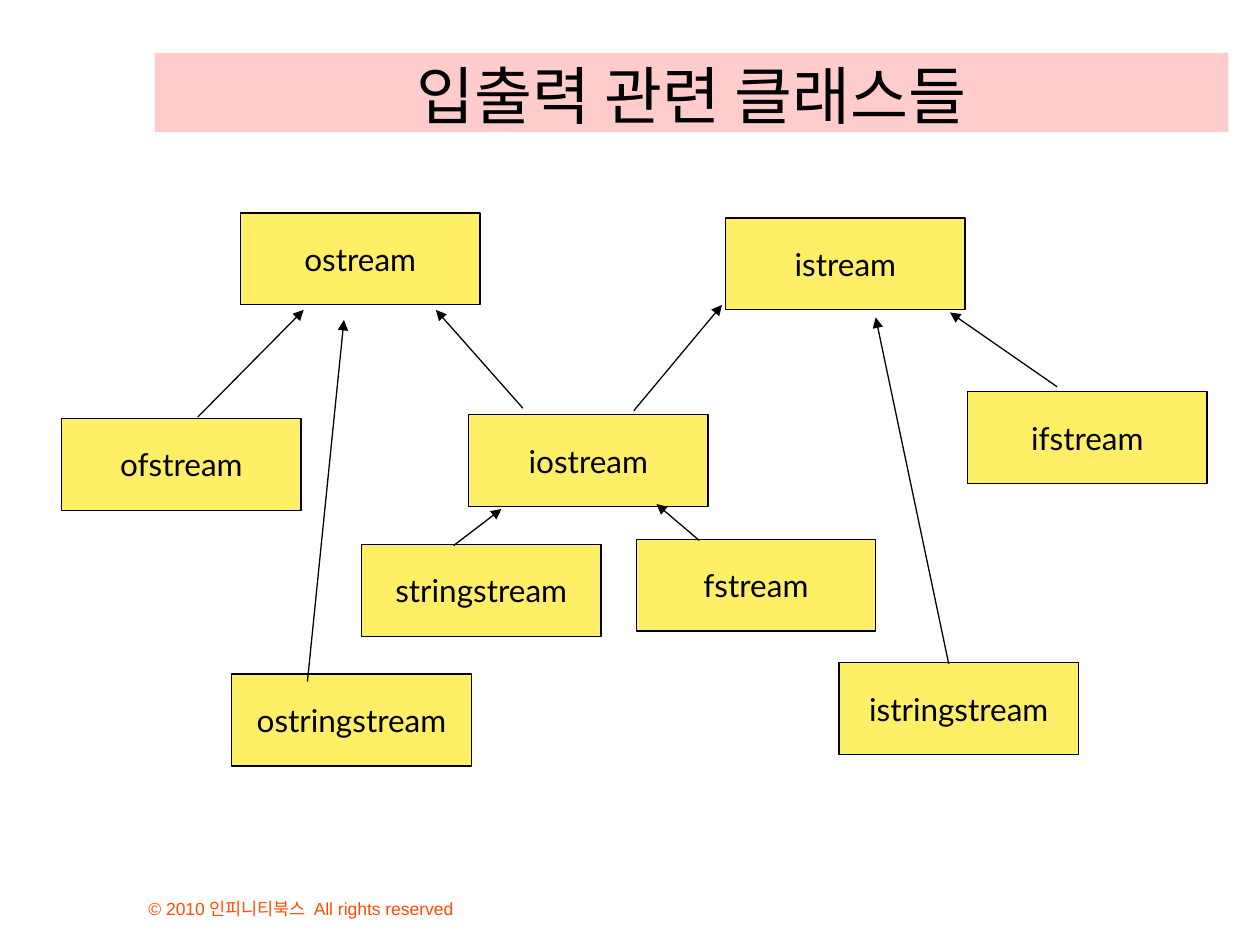
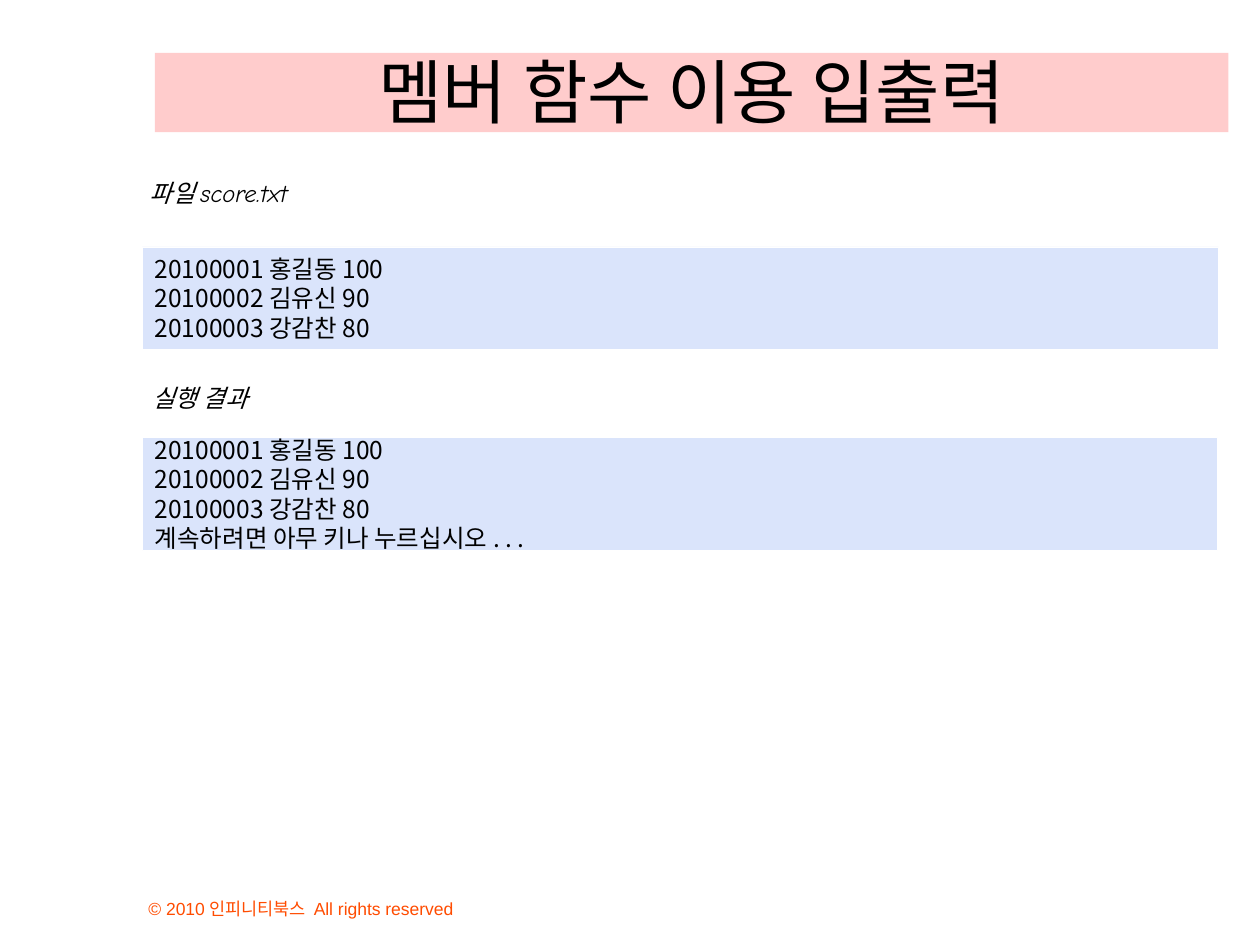
from dataclasses import dataclass
from typing import NamedTuple, Optional

from lxml.etree import SubElement
from pptx import Presentation
from pptx.dml.color import RGBColor
from pptx.enum.shapes import MSO_CONNECTOR, MSO_SHAPE
from pptx.enum.text import MSO_ANCHOR, PP_ALIGN
from pptx.oxml.ns import qn
from pptx.util import Inches, Pt

# Slide and grid: 100 columns by 75 rows
SLIDE_WIDTH, SLIDE_HEIGHT = Inches(10), Inches(7.5)
COLUMN, ROW = SLIDE_WIDTH / 100, SLIDE_HEIGHT / 75

# Colours
BLACK = RGBColor(0x00, 0x00, 0x00)
WHITE = RGBColor(0xFF, 0xFF, 0xFF)
PINK = RGBColor(0xFF, 0xCC, 0xCC)
YELLOW = RGBColor(0xFF, 0xEF, 0x66)
PALE_BLUE = RGBColor(0xDA, 0xE4, 0xFB)
ORANGE = RGBColor(0xFF, 0x4C, 0x00)

# Fonts
LATO, ARIAL, COMIC, KOREAN = "Lato", "Arial", "Comic Neue", "Noto Sans CJK KR"


class Area(NamedTuple):
    column: float
    row: float
    columns: float
    rows: float


class Run(NamedTuple):
    text: str
    font: str


class Arrow(NamedTuple):
    start: tuple[float, float]
    end: tuple[float, float]


@dataclass(frozen=True)
class BoxStyle:
    size: float
    color: RGBColor = BLACK
    fill: Optional[RGBColor] = None
    line: Optional[RGBColor] = None
    line_width: float = 0.75
    anchor: MSO_ANCHOR = MSO_ANCHOR.MIDDLE
    align: PP_ALIGN = PP_ALIGN.LEFT
    italic: bool = False
    wrap: bool = True
    margins: tuple[float, float, float, float] = (0.1, 0.05, 0.1, 0.05)
    line_spacing: Optional[float] = None


def title_style(size: float) -> BoxStyle:
    return BoxStyle(size, fill=PINK, anchor=MSO_ANCHOR.BOTTOM,
                    align=PP_ALIGN.CENTER, margins=(0, 0, 0, 0))


def heading_style(top_margin: float) -> BoxStyle:
    return BoxStyle(14, italic=True, anchor=MSO_ANCHOR.TOP,
                    margins=(0.1, top_margin, 0, 0))


FOOTER_STYLE = BoxStyle(10, color=ORANGE, anchor=MSO_ANCHOR.BOTTOM)
CLASS_STYLE = BoxStyle(18, fill=YELLOW, line=BLACK, align=PP_ALIGN.CENTER, wrap=False)
LISTING_STYLE = BoxStyle(14, fill=PALE_BLUE, line=WHITE, line_width=0.34,
                         align=PP_ALIGN.JUSTIFY, line_spacing=16.8)

# Shared parts
TITLE_AREA = Area(12.3, 4.2, 85.2, 6.3)
FOOTER_AREA = Area(10.8, 69.2, 38.3, 4.2)
FOOTER = "© 2010 인피니티북스  All rights reserved"

# Class diagram: left column and top row of each box
CLASS_COLUMNS, CLASS_ROWS = 19, 7.3
CLASSES = {
    "ostream": (19.1, 16.9),
    "istream": (57.6, 17.3),
    "iostream": (37.2, 32.9),
    "ofstream": (4.9, 33.2),
    "ostringstream": (18.4, 53.5),
    "stringstream": (28.7, 43.2),
    "fstream": (50.5, 42.8),
    "ifstream": (76.8, 31.1),
    "istringstream": (66.6, 52.6),
}
INHERITANCE = [
    Arrow((15.7, 33.1), (24.1, 24.6)),
    Arrow((41.5, 32.4), (34.6, 24.6)),
    Arrow((50.3, 32.6), (57.3, 24.2)),
    Arrow((36, 43.3), (39.8, 40.4)),
    Arrow((55.5, 42.9), (52.1, 40)),
    Arrow((83.9, 30.7), (75.4, 24.8)),
    Arrow((75.3, 52.7), (69.5, 25.2)),
    Arrow((24.4, 54.1), (27.3, 25.4)),
]

# Score file and the program's output
SCORES = [("20100001", "홍길동", "100"), ("20100002", "김유신", "90"), ("20100003", "강감찬", "80")]
SCORE_LINES = [[Run(f"{number} ", KOREAN), Run(f"{name} ", COMIC), Run(score, KOREAN)]
               for number, name, score in SCORES]
PROMPT_LINE = [Run("계속하려면 아무 키나 누르십시오 ", COMIC), Run(". . .", KOREAN)]


def add_run(paragraph, run: Run, style: BoxStyle) -> None:
    text_run = paragraph.add_run()
    text_run.text = run.text
    font_format = {"name": run.font, "size": Pt(style.size), "italic": style.italic}
    for attribute, value in font_format.items():
        setattr(text_run.font, attribute, value)
    text_run.font.color.rgb = style.color
    SubElement(text_run.font._element, qn("a:ea"), typeface=KOREAN)


def add_box(slide, area: Area, lines: list[list[Run]], style: BoxStyle):
    left, top = round(area.column * COLUMN), round(area.row * ROW)
    width, height = round(area.columns * COLUMN), round(area.rows * ROW)
    if style.fill is None:
        shape = slide.shapes.add_textbox(left, top, width, height)
    else:
        shape = slide.shapes.add_shape(MSO_SHAPE.RECTANGLE, left, top, width, height)
        shape.shadow.inherit = False
        shape.fill.solid()
        shape.fill.fore_color.rgb = style.fill
        if style.line is None:
            shape.line.fill.background()
        else:
            shape.line.color.rgb = style.line
            shape.line.width = Pt(style.line_width)

    frame = shape.text_frame
    sides = ("margin_left", "margin_top", "margin_right", "margin_bottom")
    frame_format = {"word_wrap": style.wrap, "vertical_anchor": style.anchor}
    frame_format |= {side: Inches(margin) for side, margin in zip(sides, style.margins)}
    for attribute, value in frame_format.items():
        setattr(frame, attribute, value)

    for index, line in enumerate(lines):
        paragraph = frame.add_paragraph() if index else frame.paragraphs[0]
        paragraph.alignment = style.align
        if style.line_spacing:
            paragraph.line_spacing = Pt(style.line_spacing)
        for run in line:
            add_run(paragraph, run, style)
    return shape


def add_arrow(slide, arrow: Arrow) -> None:
    ends = [round(value * unit) for point in arrow
            for value, unit in zip(point, (COLUMN, ROW))]
    connector = slide.shapes.add_connector(MSO_CONNECTOR.STRAIGHT, *ends)
    connector.line.color.rgb = BLACK
    connector.line.width = Pt(0.75)
    properties = connector._element.spPr
    SubElement(properties.find(qn("a:ln")), qn("a:tailEnd"), type="triangle")
    SubElement(properties, qn("a:effectLst"))


def add_titled_slide(presentation, title: str, size: float):
    slide = presentation.slides.add_slide(presentation.slide_layouts[6])
    add_box(slide, FOOTER_AREA, [[Run(FOOTER, ARIAL)]], FOOTER_STYLE)
    add_box(slide, TITLE_AREA, [[Run(title, LATO)]], title_style(size))
    return slide


def build_class_slide(presentation) -> None:
    slide = add_titled_slide(presentation, "입출력 관련 클래스들", 36)
    for name, (column, row) in CLASSES.items():
        area = Area(column, row, CLASS_COLUMNS, CLASS_ROWS)
        add_box(slide, area, [[Run(name, LATO)]], CLASS_STYLE)
    for arrow in INHERITANCE:
        add_arrow(slide, arrow)


def build_score_slide(presentation) -> None:
    slide = add_titled_slide(presentation, "멤버 함수 이용 입출력", 40)
    add_box(slide, Area(11.3, 19.6, 85.4, 8.1), SCORE_LINES, LISTING_STYLE)
    add_box(slide, Area(11.3, 34.7, 85.3, 9), SCORE_LINES + [PROMPT_LINE], LISTING_STYLE)
    add_box(slide, Area(10.9, 13.9, 13.8, 5.7), [[Run("파일 score.txt", COMIC)]],
            heading_style(0.02))
    add_box(slide, Area(11.1, 28, 10.1, 8), [[Run("실행 결과", COMIC)]],
            heading_style(0.25))


def main() -> None:
    presentation = Presentation()
    presentation.slide_width, presentation.slide_height = SLIDE_WIDTH, SLIDE_HEIGHT
    build_class_slide(presentation)
    build_score_slide(presentation)
    presentation.save("out.pptx")


if __name__ == "__main__":
    main()
